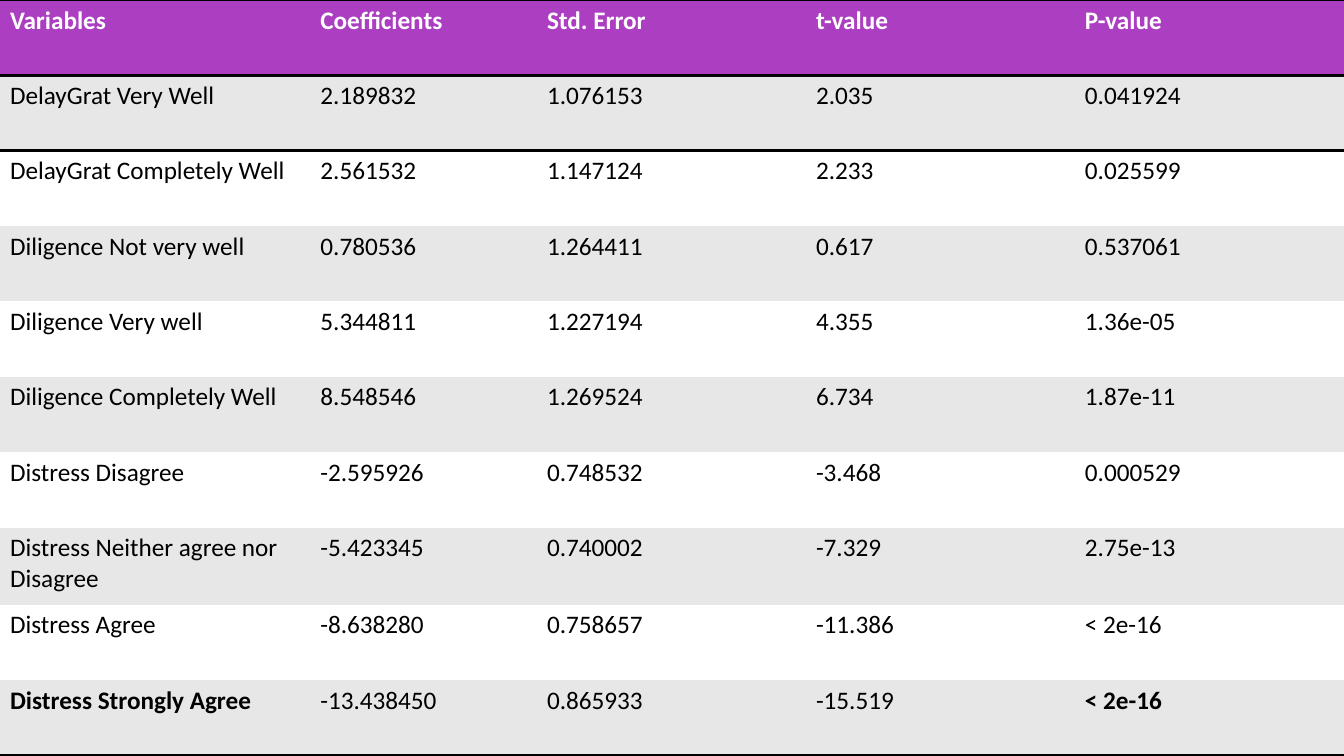
from lxml import etree
from pptx import Presentation, util as u
from pptx.dml.color import RGBColor
from pptx.oxml import ns

BLACK = RGBColor(0x00, 0x00, 0x00)
WHITE = RGBColor(0xFF, 0xFF, 0xFF)
PURPLE = RGBColor(0xAC, 0x3E, 0xC1)
GREY = RGBColor(0xE7, 0xE7, 0xE7)

NO_GRID_STYLE = "{2D5ABB26-0587-4C30-8999-92F81FD0307C}"
COLUMN_SHARES = [3.08, 2.25, 2.67, 2.67, 2.67]
ROW_SHARES = [0.75] * 7 + [0.77] + [0.75] * 2

HEADINGS = ["Variables", "Coefficients", "Std. Error", "t-value", "P-value"]
ESTIMATES = [
    ["DelayGrat Very Well", "2.189832", "1.076153", "2.035", "0.041924"],
    ["DelayGrat Completely Well", "2.561532", "1.147124", "2.233", "0.025599"],
    ["Diligence Not very well", "0.780536", "1.264411", "0.617", "0.537061"],
    ["Diligence Very well", "5.344811", "1.227194", "4.355", "1.36e-05"],
    ["Diligence Completely Well", "8.548546", "1.269524", "6.734", "1.87e-11"],
    ["Distress Disagree", "-2.595926", "0.748532", "-3.468", "0.000529"],
    ["Distress Neither agree nor Disagree", "-5.423345", "0.740002", "-7.329", "2.75e-13"],
    ["Distress Agree", "-8.638280", "0.758657", "-11.386", "< 2e-16"],
    ["Distress Strongly Agree", "-13.438450", "0.865933", "-15.519", "< 2e-16"],
]


def share_out(tracks, attribute, total, shares):
    """Divide a length among columns or rows."""
    for track, share in zip(tracks, shares):
        setattr(track, attribute, int(total * share / sum(shares)))


def rule_cell(cell, sides):
    """Draw horizontal rules on a cell; they must precede its fill."""
    properties = cell._tc.get_or_add_tcPr()
    for position, side in enumerate(sides):
        rule = etree.Element(ns.qn(f"a:ln{side}"), w=str(u.Pt(2)))
        fill = etree.SubElement(rule, ns.qn("a:solidFill"))
        etree.SubElement(fill, ns.qn("a:srgbClr"), val=str(BLACK))
        properties.insert(position, rule)


def write_cell(cell, wording, fill, font_format):
    cell.text = wording
    cell.fill.solid()
    cell.fill.fore_color.rgb = fill
    font = cell.text_frame.paragraphs[0].runs[0].font
    font.color.rgb = WHITE if fill == PURPLE else BLACK
    for name, value in font_format.items():
        setattr(font, name, value)


def add_regression_table(slide, left, top, width, height):
    lines = [HEADINGS] + ESTIMATES
    last_row, last_column = len(lines) - 1, len(HEADINGS) - 1
    regression = slide.shapes.add_table(
        len(lines), len(HEADINGS), left, top, width, height).table
    regression._tbl.tblPr.find(ns.qn("a:tableStyleId")).text = NO_GRID_STYLE
    share_out(regression.columns, "width", width, COLUMN_SHARES)
    share_out(regression.rows, "height", height, ROW_SHARES)

    for row, line in enumerate(lines):
        fill = PURPLE if row == 0 else (GREY if row % 2 else WHITE)
        sides = {0: "TB", 1: "T", last_row: "B"}.get(row, "")
        for column, wording in enumerate(line):
            # Headings and both ends of the last row stand out
            bold = row == 0 or (row == last_row and column in (0, last_column))
            cell = regression.cell(row, column)
            write_cell(cell, wording, fill,
                       {"name": "Calibri", "size": u.Pt(18), "bold": bold})
            rule_cell(cell, sides)


def main():
    deck = Presentation()
    deck.slide_width, deck.slide_height = u.Inches(13.33), u.Inches(7.5)
    slide = deck.slides.add_slide(deck.slide_layouts[6])

    # Black background
    slide.background.fill.solid()
    slide.background.fill.fore_color.rgb = BLACK

    # Regression results fill the slide
    add_regression_table(slide, 0, 0, deck.slide_width, deck.slide_height)
    deck.save("out.pptx")


if __name__ == "__main__":
    main()
